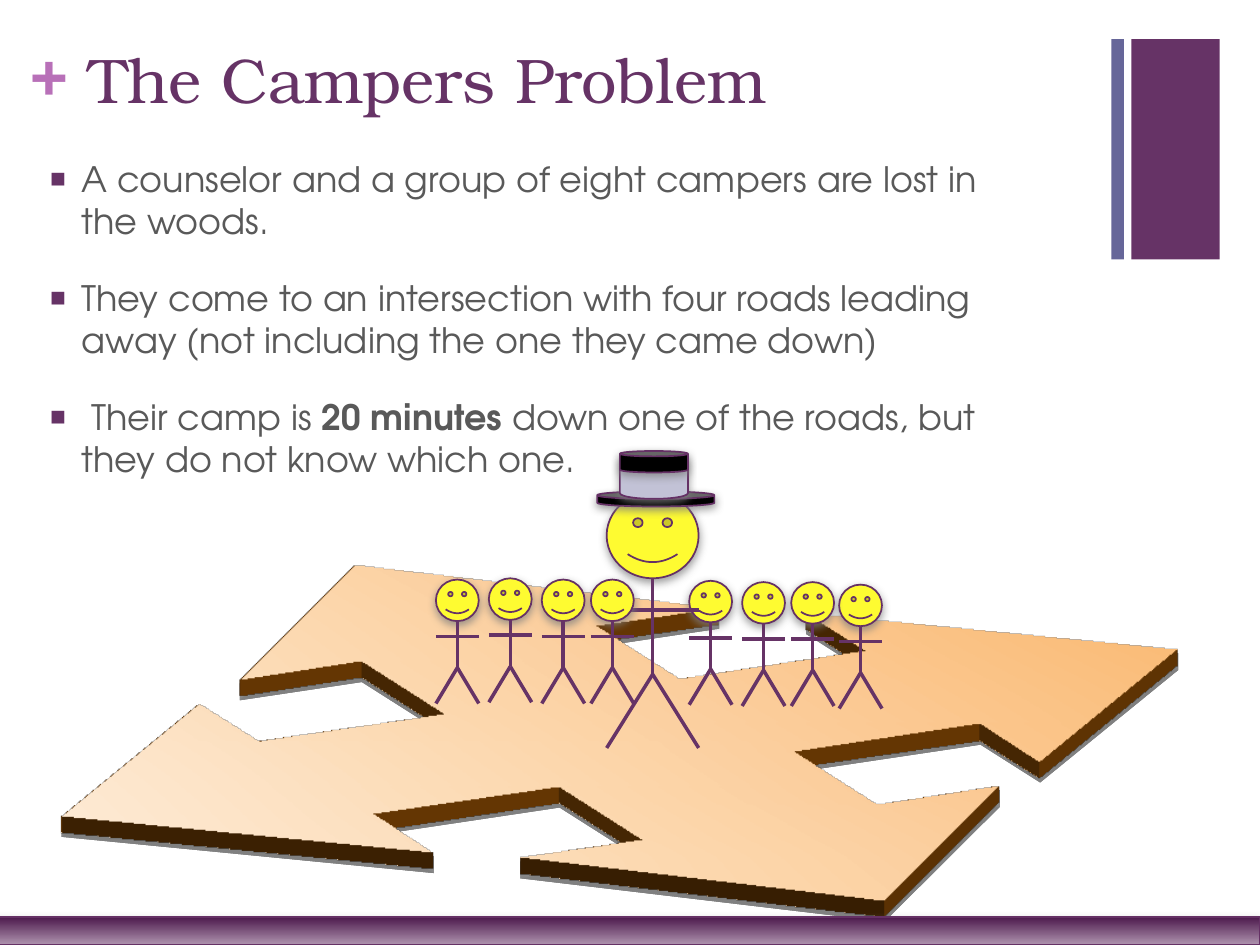
from lxml import etree
from pptx import Presentation
from pptx.dml.color import RGBColor
from pptx.enum.shapes import MSO_CONNECTOR, MSO_SHAPE
from pptx.enum.text import MSO_ANCHOR, MSO_AUTO_SIZE, PP_ALIGN
from pptx.oxml import parse_xml
from pptx.oxml.ns import nsdecls, qn
from pptx.util import Inches, Pt

RECT, CAN = MSO_SHAPE.RECTANGLE, MSO_SHAPE.CAN
SMILEY, CROSSROADS = MSO_SHAPE.SMILEY_FACE, MSO_SHAPE.QUAD_ARROW
STRAIGHT = MSO_CONNECTOR.STRAIGHT
LEFT, TOP, NO_FIT = PP_ALIGN.LEFT, MSO_ANCHOR.TOP, MSO_AUTO_SIZE.NONE
SERIF, SANS = "TeX Gyre Bonum", "TeX Gyre Adventor"
PURPLE, OUTLINE, YELLOW, BROWN = "663366", "653165", "FEFB31", "C96D07"

BULLETS = [
    [("A counselor and a group of eight campers are lost in the woods.", False)],
    [("They come to an intersection with four roads leading away "
      "(not including the one they came down)", False)],
    [(" Their camp is ", False), ("20 minutes ", True),
     ("down one of the roads, but they do not know which one.", False)],
]
RIGHT_CAMPERS = [(6.83, 4.64), (5.64, 4.61), (6.06, 4.62), (6.45, 4.62)]
LEFT_CAMPERS = [(3.63, 4.6), (4.05, 4.59), (4.47, 4.6), (4.86, 4.6)]


def color(value):
    """Turn a hex string into a colour."""
    return RGBColor.from_string(value)


class SlideBuilder:
    """Hold the style and the current slide, and draw each kind of element."""

    def __init__(self, page):
        """Keep the slide to draw on."""
        self.page = page

    def format_font(self, font, name, size, fill, bold=False):
        """Set the face, size, colour and weight of a font."""
        font.name, font.size, font.bold = name, Pt(size), bold
        font.color.rgb = color(fill)

    def title(self, text, *bounds):
        """Place and format the title placeholder."""
        box = self.page.shapes.title
        box.left, box.top, box.width, box.height = map(Inches, bounds)
        frame = box.text_frame
        frame.text = text
        frame.auto_size, frame.vertical_anchor = NO_FIT, TOP
        para = frame.paragraphs[0]
        para.alignment = LEFT
        self.format_font(para.font, SERIF, 36, PURPLE)

    def text_box(self, *bounds):
        """Add a wrapping text box and return its frame."""
        frame = self.page.shapes.add_textbox(*map(Inches, bounds)).text_frame
        frame.word_wrap = True
        return frame

    def label(self, text, *bounds):
        """Add a bold mark without margins."""
        frame = self.text_box(*bounds)
        frame.margin_left = frame.margin_right = 0
        frame.margin_top = frame.margin_bottom = 0
        para = frame.paragraphs[0]
        para.text = text
        self.format_font(para.font, SERIF, 36, "B870B8", True)

    def bullets(self, items, *bounds):
        """Add a list with square bullets."""
        frame = self.text_box(*bounds)
        for index, spans in enumerate(items):
            para = frame.add_paragraph() if index else frame.paragraphs[0]
            para.space_before = Pt(20)
            self.format_font(para.font, SANS, 20, "595959")
            for text, bold in spans:
                span = para.add_run()
                span.text = text
                self.format_font(span.font, SANS, 20, "595959", bold)
            self.bullet(para)

    def bullet(self, para):
        """Give a paragraph a hanging square bullet."""
        props = para._p.get_or_add_pPr()
        props.set("marL", str(Inches(0.25)))
        props.set("indent", str(-Inches(0.25)))
        mark = parse_xml(
            f'<a:pPr {nsdecls("a")}><a:buClr><a:srgbClr val="{PURPLE}"/></a:buClr>'
            '<a:buSzPct val="75000"/><a:buFont typeface="Arial"/>'
            '<a:buChar char="■"/></a:pPr>')
        anchor = props.find(qn("a:defRPr"))
        for child in list(mark):
            if anchor is None:
                props.append(child)
            else:
                anchor.addprevious(child)

    def shape(self, kind, bounds, fill, line=None, angle=0, parent=None):
        """Add a shape, with a shadow when it is outlined."""
        shapes = (parent or self.page).shapes
        shape = shapes.add_shape(kind, *map(Inches, bounds))
        if isinstance(fill, tuple):
            shape.fill.gradient()
            shape.fill.gradient_angle = angle
            for stop, position, value in zip(shape.fill.gradient_stops, (0, 1), fill):
                stop.position, stop.color.rgb = position, color(value)
        else:
            shape.fill.solid()
            shape.fill.fore_color.rgb = color(fill)
        shape.shadow.inherit = False
        if line:
            shape.line.color.rgb, shape.line.width = color(line), Pt(1)
            self.shadow(shape)
        else:
            shape.line.fill.background()
        return shape

    def shadow(self, shape):
        """Add a soft grey shadow below a shape."""
        effects = shape.element.spPr.find(qn("a:effectLst"))
        effects.append(parse_xml(
            f'<a:outerShdw {nsdecls("a")} blurRad="{Pt(5)}" dist="{Pt(2)}" '
            'dir="5400000" rotWithShape="0"><a:srgbClr val="808080">'
            '<a:alpha val="75000"/></a:srgbClr></a:outerShdw>'))

    def lay_flat(self, shape, depth, side):
        """Tilt a shape into a horizontal slab with coloured sides."""
        props = shape.element.spPr
        props.append(parse_xml(
            f'<a:scene3d {nsdecls("a")}><a:camera prst="isometricOffAxis1Top"/>'
            '<a:lightRig rig="threePt" dir="t"/></a:scene3d>'))
        props.append(parse_xml(
            f'<a:sp3d {nsdecls("a")} extrusionH="{Pt(depth)}"><a:extrusionClr>'
            f'<a:srgbClr val="{side}"/></a:extrusionClr></a:sp3d>'))

    def line(self, parent, *ends):
        """Add a limb of a stick figure."""
        limb = parent.shapes.add_connector(STRAIGHT, *map(Inches, ends))
        limb.line.color.rgb, limb.line.width = color(PURPLE), Pt(2)
        etree.SubElement(limb.element.spPr, qn("a:effectLst"))

    def figure(self, center, top, width, height):
        """Draw a stick figure whose body is in proportion to its head."""
        group = self.page.shapes.add_group_shape()
        left, right = center - width / 2, center + width / 2
        neck, arms, hip, feet = (top + height * part for part in (1, 1.37, 2.12, 2.98))
        self.shape(SMILEY, (left, top, width, height), YELLOW, OUTLINE, parent=group)
        self.line(group, center, neck, center, hip)
        self.line(group, center, hip, left, feet)
        self.line(group, center, hip, right, feet)
        self.line(group, left, arms, right, arms)

    def hat(self):
        """Draw the counselor's top hat."""
        group = self.page.shapes.add_group_shape()
        brim = self.shape(CAN, (4.74, 3.9, 0.93, 0.12), "000000", OUTLINE, parent=group)
        brim.adjustments[0] = 0.5
        self.shape(CAN, (4.92, 3.6, 0.54, 0.36), "C2C2D6", OUTLINE, parent=group)
        self.shape(CAN, (4.92, 3.58, 0.54, 0.17), "000000", OUTLINE, parent=group)


def main():
    """Build the slide and save it."""
    deck = Presentation()
    deck.slide_width, deck.slide_height = Inches(10), Inches(7.5)
    builder = SlideBuilder(deck.slides.add_slide(deck.slide_layouts[5]))
    builder.shape(RECT, (8.98, 0.31, 0.7, 1.75), PURPLE)
    builder.label("+", 0.24, 0.25, 0.29, 0.61)
    builder.shape(RECT, (8.82, 0.31, 0.1, 1.75), "666699")
    roads = builder.shape(CROSSROADS, (-0.01, 1.03, 9.86, 9.58),
                          ("FDE9D2", "FABC78"), BROWN)
    for index, value in enumerate((0.217, 0.221, 0.235)):
        roads.adjustments[index] = value
    builder.lay_flat(roads, 10, BROWN)
    builder.title("The Campers Problem", 0.6, 0.27, 8.26, 1.22)
    builder.bullets(BULLETS, 0.3, 1.2, 8.08, 5.77)
    for center, top in RIGHT_CAMPERS:
        builder.figure(center, top, 0.34, 0.33)
    builder.figure(5.18, 3.91, 0.73, 0.68)
    builder.hat()
    for center, top in LEFT_CAMPERS:
        builder.figure(center, top, 0.34, 0.33)
    builder.shape(RECT, (-0.19, 7.28, 10.19, 0.22), ("4D1A4D", "AF94AF"), OUTLINE, 270)
    deck.save("out.pptx")


if __name__ == "__main__":
    main()
